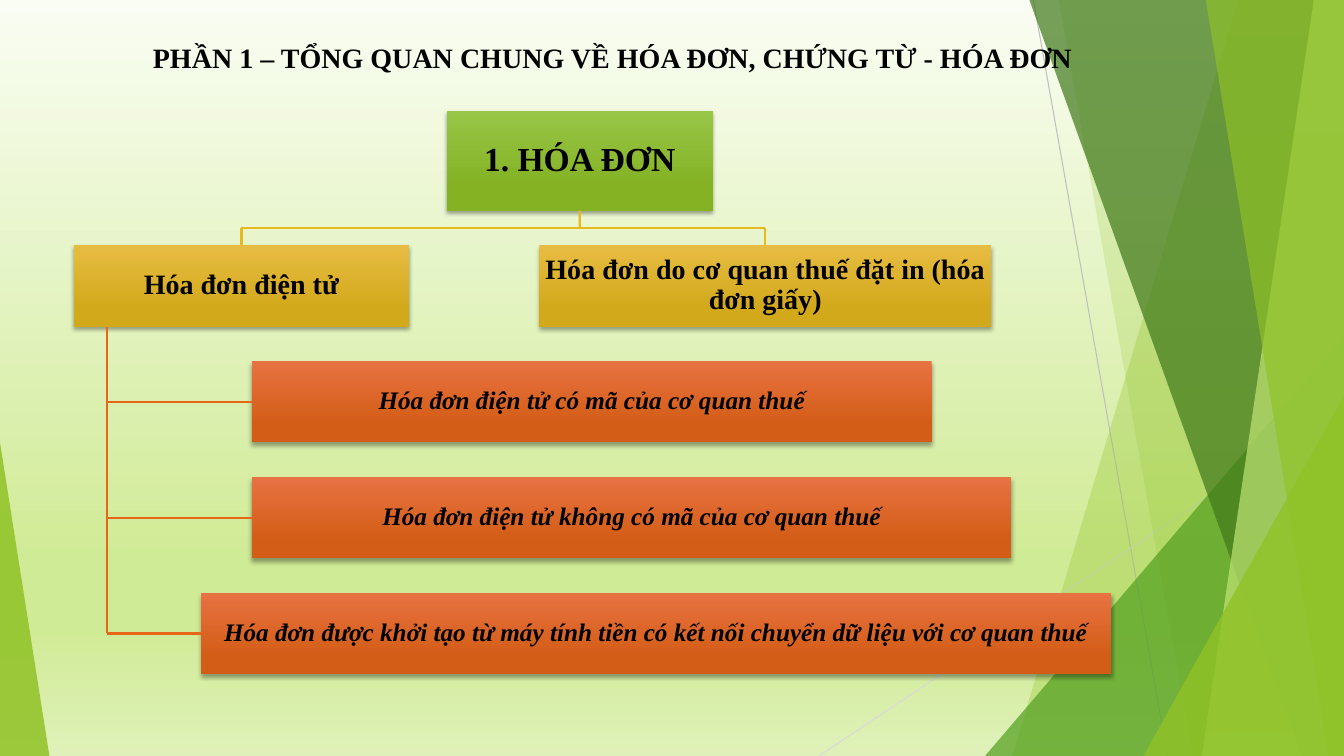
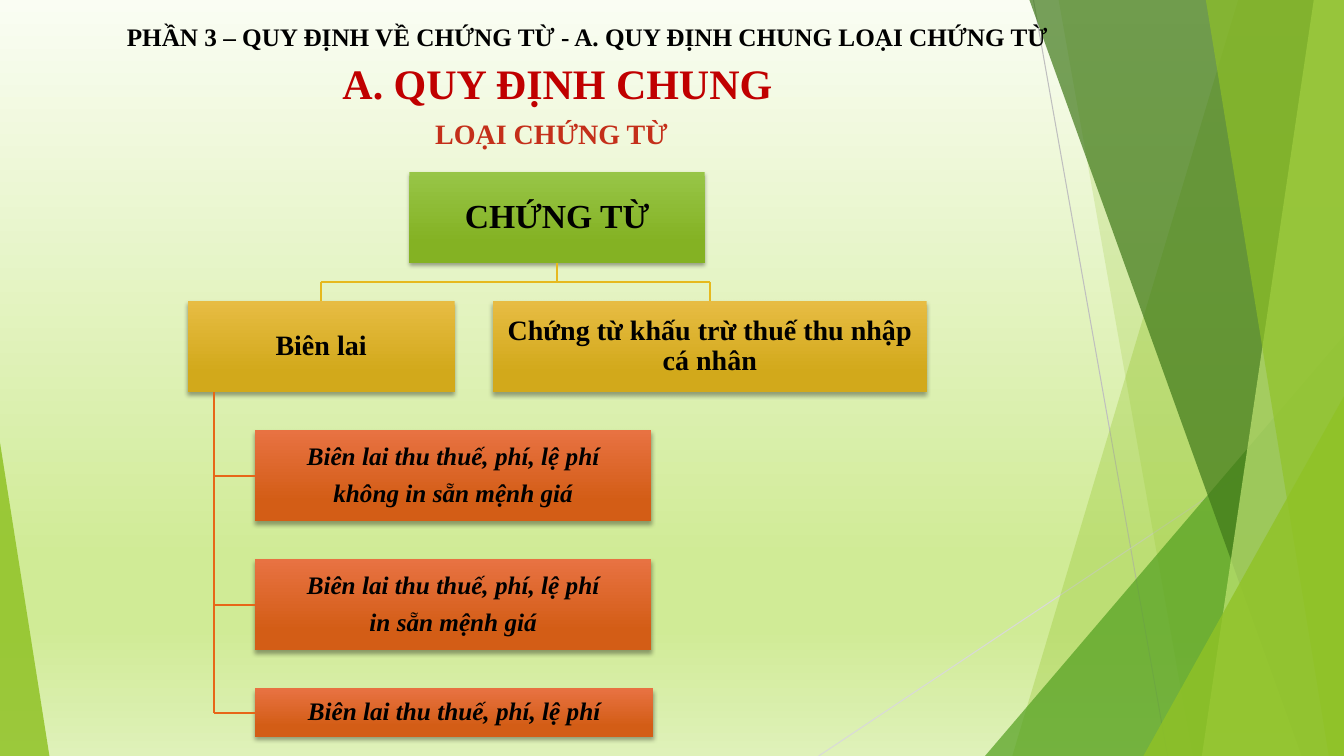
"""Build two slides of tree diagrams about invoices and tax documents."""
from dataclasses import dataclass

from lxml.etree import SubElement
from pptx import Presentation
from pptx.dml.color import RGBColor
from pptx.dml.fill import FillFormat
from pptx.enum.shapes import MSO_CONNECTOR, MSO_SHAPE
from pptx.enum.text import MSO_ANCHOR, MSO_AUTO_SIZE, PP_ALIGN
from pptx.oxml.ns import qn
from pptx.presentation import Presentation as Deck
from pptx.shapes.autoshape import Shape
from pptx.shapes.connector import Connector
from pptx.slide import Slide, SlideLayout
from pptx.text.text import TextFrame
from pptx.util import Inches, Pt

FONT = "Times New Roman"
BLACK = "000000"
SLIDE_WIDTH, SLIDE_HEIGHT = 13.33, 7.5
TOP, LEFT, BOTTOM = 0, 1, 2
BACKGROUND = [(0, "FAFDF3"), (74, "D0EB96"), (83, "D0EB96"), (100, "DFF1B9")]
BRANCH_LINE, LEAF_LINE = "E6B91E", "E76618"


@dataclass(frozen=True)
class TextStyle:
    """Look of a run of text."""
    size: float
    color: str = BLACK
    italic: bool = False
    align: PP_ALIGN = PP_ALIGN.CENTER


@dataclass(frozen=True)
class Level:
    """Look of one level of a tree."""
    start: str
    end: str
    style: TextStyle
    inset: float = 0.01


@dataclass(frozen=True)
class Node:
    """Box of a tree; its top follows from its level."""
    lines: tuple[str, ...]
    left: float
    width: float
    height: float


@dataclass(frozen=True)
class Tree:
    """Root, branches, and leaves below the first branch."""
    top: float
    gap: float
    root: Node
    branches: tuple[Node, ...]
    leaves: tuple[Node, ...]


@dataclass(frozen=True)
class Band:
    """Full-height slanted band reaching the right edge."""
    top_x: float
    bottom_x: float
    color: str
    opacity: int


@dataclass(frozen=True)
class Wedge:
    """Triangle standing on the bottom edge, with its tip at one side."""
    left: float
    width: float
    height: float
    tip: float
    color: str
    opacity: int


ROOT = Level("97C547", "84B223", TextStyle(24), 0.02)
BRANCH = Level("E7BC43", "D2A91B", TextStyle(20))
LEAF = Level("E87242", "D35D16", TextStyle(18, italic=True))

DECORATION: list[Band | Wedge] = [
    Band(12.28, 10.04, "90C226", 30),
    Band(10.5, 11.83, "90C226", 20),
    Wedge(9.77, 3.56, 4.17, 1, "54A021", 72),
    Band(10.21, 12.91, "3F7819", 70),
    Band(13.03, 11.92, "C0E474", 70),
    Band(11.96, 13.18, "90C226", 65),
    Wedge(11.34, 1.99, 3.57, 1, "90C226", 80),
    Wedge(0, 0.49, 3.11, 0, "90C226", 85),
]

INVOICE_TREE = Tree(
    1.1, 0.34,
    Node(("1. HÓA ĐƠN",), 4.43, 2.64, 0.99),
    (
        Node(("Hóa đơn điện tử",), 0.73, 3.33, 0.81),
        Node(("Hóa đơn do cơ quan thuế đặt in (hóa đơn giấy)",), 5.35, 4.48, 0.81),
    ),
    (
        Node(("Hóa đơn điện tử có mã của cơ quan thuế",), 2.5, 6.74, 0.81),
        Node(("Hóa đơn điện tử không có mã của cơ quan thuế",), 2.5, 7.53, 0.81),
        Node(("Hóa đơn được khởi tạo từ máy tính tiền có kết nối chuyển dữ liệu "
              "với cơ quan thuế",), 1.99, 9.03, 0.81),
    ),
)

RECEIPT = "Biên lai thu thuế, phí, lệ phí"
DOCUMENT_TREE = Tree(
    1.71, 0.38,
    Node(("CHỨNG TỪ",), 4.06, 2.93, 0.9),
    (
        Node(("Biên lai",), 1.86, 2.65, 0.9),
        Node(("Chứng từ khấu trừ thuế thu nhập cá nhân",), 4.89, 4.3, 0.9),
    ),
    (
        Node((RECEIPT, "không in sẵn mệnh giá"), 2.53, 3.93, 0.9),
        Node((RECEIPT, "in sẵn mệnh giá"), 2.53, 3.93, 0.9),
        Node((RECEIPT,), 2.53, 3.95, 0.48),
    ),
)


def color(value: str) -> RGBColor:
    """Turn a hex string into a colour."""
    return RGBColor.from_string(value)


def set_gradient(fill: FillFormat, stops: list[tuple[int, str]]) -> None:
    """Fill from top to bottom with stops given as percent and colour."""
    fill.gradient()
    fill.gradient_angle = 270
    stop_list = fill.gradient_stops[0]._gs.getparent()
    for old_stop in list(stop_list):
        stop_list.remove(old_stop)
    for percent, value in stops:
        stop = SubElement(stop_list, qn("a:gs"), pos=str(percent * 1000))
        SubElement(stop, qn("a:srgbClr"), val=value)


def set_tint(shape: Shape, value: str, opacity: int) -> None:
    """Give a shape a translucent fill without outline or shadow."""
    shape.shadow.inherit = False
    shape.line.fill.background()
    shape.fill.solid()
    shape.fill.fore_color.rgb = color(value)
    rgb = shape._element.spPr.find(f".//{qn('a:srgbClr')}")
    SubElement(rgb, qn("a:alpha"), val=str(opacity * 1000))


def add_drop_shadow(shape: Shape) -> None:
    """Add a soft shadow straight below a shape."""
    shape.shadow.inherit = False
    effects = shape._element.spPr.find(qn("a:effectLst"))
    shadow = SubElement(effects, qn("a:outerShdw"), blurRad=str(Pt(3)), dist=str(Pt(2)),
                        dir="5400000", algn="ctr", rotWithShape="0")
    rgb = SubElement(shadow, qn("a:srgbClr"), val=BLACK)
    SubElement(rgb, qn("a:alpha"), val="35000")


def add_line(slide: Slide, start: tuple[float, float], end: tuple[float, float],
             value: str, width: float = 1.5) -> Connector:
    """Draw a straight line between two points in inches."""
    points = [Inches(length) for length in (*start, *end)]
    line = slide.shapes.add_connector(MSO_CONNECTOR.STRAIGHT, *points)
    line.line.color.rgb = color(value)
    line.line.width = Pt(width)
    SubElement(line._element.spPr, qn("a:effectLst"))
    return line


def write_text(frame: TextFrame, lines: tuple[str, ...], style: TextStyle,
               line_spacing: float = 1.0, gap: float = 0) -> None:
    """Write bold paragraphs, with a gap in points between them."""
    frame.word_wrap = True
    frame.auto_size = MSO_AUTO_SIZE.NONE
    for index, line in enumerate(lines):
        paragraph = frame.add_paragraph() if index else frame.paragraphs[0]
        paragraph.alignment = style.align
        paragraph.line_spacing = line_spacing
        paragraph.space_before = Pt(gap if index else 0)
        run = paragraph.add_run()
        run.text = line
        run.font.name = FONT
        run.font.size = Pt(style.size)
        run.font.bold = True
        run.font.italic = style.italic
        run.font.color.rgb = color(style.color)


def place(shape: Shape, left: float, top: float, width: float, height: float) -> None:
    """Move and size a shape in inches."""
    shape.left, shape.top = Inches(left), Inches(top)
    shape.width, shape.height = Inches(width), Inches(height)


def add_title(slide: Slide, text: str, style: TextStyle, left: float, top: float,
              width: float, height: float) -> None:
    """Fill and position the title placeholder."""
    title = slide.shapes.title
    place(title, left, top, width, height)
    title.text_frame.vertical_anchor = MSO_ANCHOR.TOP
    write_text(title.text_frame, (text,), style)


def add_label(slide: Slide, text: str, style: TextStyle, left: float, top: float,
              width: float, height: float) -> None:
    """Add a one-line text box."""
    lengths = [Inches(length) for length in (left, top, width, height)]
    label = slide.shapes.add_textbox(*lengths)
    write_text(label.text_frame, (text,), style)


def add_node(slide: Slide, node: Node, top: float, level: Level) -> Shape:
    """Draw one box of a tree."""
    lengths = [Inches(length) for length in (node.left, top, node.width, node.height)]
    box = slide.shapes.add_shape(MSO_SHAPE.RECTANGLE, *lengths)
    set_gradient(box.fill, [(0, level.start), (78, level.end), (100, level.end)])
    box.line.fill.background()
    add_drop_shadow(box)
    frame = box.text_frame
    frame.vertical_anchor = MSO_ANCHOR.MIDDLE
    frame.margin_left = frame.margin_right = Inches(level.inset)
    frame.margin_top = frame.margin_bottom = Inches(level.inset)
    write_text(frame, node.lines, level.style, 0.9, 7)
    return box


def add_tree(slide: Slide, tree: Tree) -> None:
    """Draw a tree with its joined lines."""
    root_box = add_node(slide, tree.root, tree.top, ROOT)
    root_bottom = tree.top + tree.root.height
    bus_y = root_bottom + tree.gap / 2
    branch_top = root_bottom + tree.gap
    root_x = tree.root.left + tree.root.width / 2
    stem = add_line(slide, (root_x, root_bottom), (root_x, bus_y), BRANCH_LINE)
    stem.begin_connect(root_box, BOTTOM)

    centers = [branch.left + branch.width / 2 for branch in tree.branches]
    add_line(slide, (min(centers), bus_y), (max(centers), bus_y), BRANCH_LINE)
    for branch, center in zip(tree.branches, centers):
        box = add_node(slide, branch, branch_top, BRANCH)
        drop = add_line(slide, (center, bus_y), (center, branch_top), BRANCH_LINE)
        drop.end_connect(box, TOP)

    parent = tree.branches[0]
    trunk_x = parent.left + parent.width / 10
    parent_bottom = branch_top + parent.height
    leaf_top = parent_bottom + tree.gap
    middle = parent_bottom
    for leaf in tree.leaves:
        box = add_node(slide, leaf, leaf_top, LEAF)
        middle = leaf_top + leaf.height / 2
        twig = add_line(slide, (trunk_x, middle), (leaf.left, middle), LEAF_LINE)
        twig.end_connect(box, LEFT)
        leaf_top += leaf.height + tree.gap
    add_line(slide, (trunk_x, parent_bottom), (trunk_x, middle), LEAF_LINE)


def add_decoration(slide: Slide, item: Band | Wedge) -> Shape:
    """Draw one translucent band or wedge."""
    if isinstance(item, Band):
        builder = slide.shapes.build_freeform(Inches(item.top_x), 0)
        corners = [(SLIDE_WIDTH, 0), (SLIDE_WIDTH, SLIDE_HEIGHT), (item.bottom_x, SLIDE_HEIGHT)]
        builder.add_line_segments([(Inches(x), Inches(y)) for x, y in corners])
        shape = builder.convert_to_shape()
    else:
        shape = slide.shapes.add_shape(MSO_SHAPE.ISOSCELES_TRIANGLE, 0, 0, 0, 0)
        place(shape, item.left, SLIDE_HEIGHT - item.height, item.width, item.height)
        shape.adjustments[0] = item.tip
    set_tint(shape, item.color, item.opacity)
    return shape


def decorate_layout(layout: SlideLayout, slide: Slide) -> None:
    """Draw the shared backdrop through a slide and move it to the layout."""
    set_gradient(layout.background.fill, BACKGROUND)
    backdrop = [
        add_line(slide, (10.25, 0), (11.58, SLIDE_HEIGHT), "BFBFBF", 0.75),
        add_line(slide, (SLIDE_WIDTH, 4.03), (8.12, SLIDE_HEIGHT), "D9D9D9", 0.75),
    ]
    backdrop += [add_decoration(slide, item) for item in DECORATION]
    for index, shape in enumerate(backdrop):
        shape._element.find(f".//{qn('p:cNvPr')}").set("id", str(100 + index))
        layout.shapes._spTree.insert(2 + index, shape._element)


def build_invoices(slide: Slide) -> None:
    """Build the slide on kinds of invoice."""
    add_title(slide, "PHẦN 1 – TỔNG QUAN CHUNG VỀ HÓA ĐƠN, CHỨNG TỪ - HÓA ĐƠN",
              TextStyle(20), 0.45, 0.35, 11.25, 0.75)
    add_tree(slide, INVOICE_TREE)


def build_documents(slide: Slide) -> None:
    """Build the slide on kinds of tax document."""
    add_title(slide, "A. QUY ĐỊNH CHUNG", TextStyle(30, "C00000"), 0.83, 0.52, 9.4, 0.59)
    add_label(slide, "LOẠI CHỨNG TỪ", TextStyle(20, "C42F1A"), 0.77, 1.11, 9.4, 0.5)
    add_tree(slide, DOCUMENT_TREE)
    add_label(slide, "PHẦN 3 – QUY ĐỊNH VỀ CHỨNG TỪ - A. QUY ĐỊNH CHUNG LOẠI CHỨNG TỪ",
              TextStyle(18, align=PP_ALIGN.LEFT), 1.16, 0.16, 9.9, 0.4)


def main() -> None:
    """Build and save the presentation."""
    presentation: Deck = Presentation()
    presentation.slide_width = Inches(SLIDE_WIDTH)
    presentation.slide_height = Inches(SLIDE_HEIGHT)
    layout = presentation.slide_layouts[5]
    invoices, documents = (presentation.slides.add_slide(layout) for _ in range(2))
    decorate_layout(layout, invoices)
    build_invoices(invoices)
    build_documents(documents)
    presentation.save("out.pptx")


if __name__ == "__main__":
    main()
